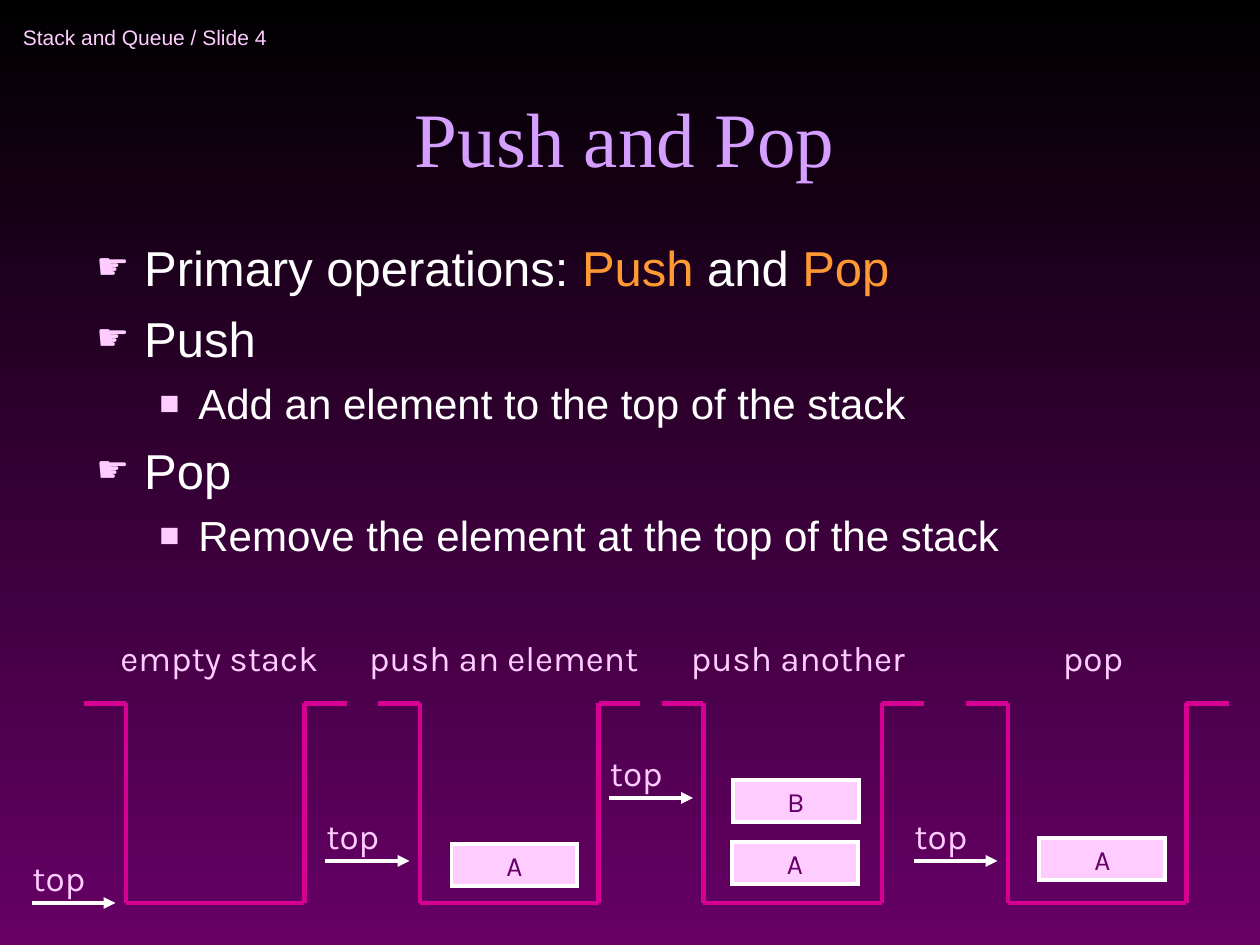
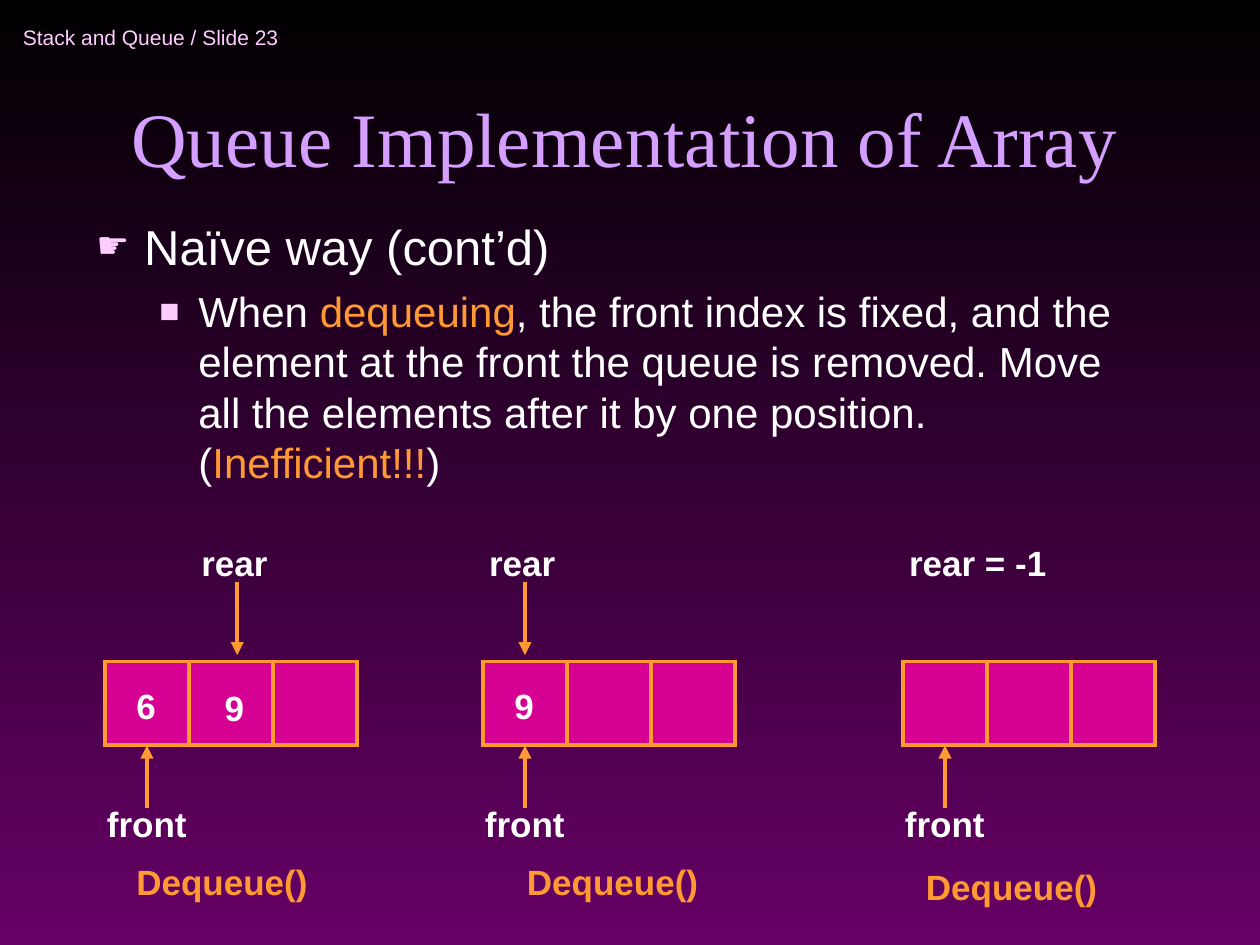
from lxml import etree
from pptx import Presentation
from pptx.dml.color import RGBColor
from pptx.enum.shapes import MSO_CONNECTOR, MSO_SHAPE
from pptx.enum.text import MSO_ANCHOR, PP_ALIGN
from pptx.oxml.ns import qn
from pptx.util import Inches, Pt

LEFT, CENTER = PP_ALIGN.LEFT, PP_ALIGN.CENTER
TOP, MIDDLE, BOTTOM = MSO_ANCHOR.TOP, MSO_ANCHOR.MIDDLE, MSO_ANCHOR.BOTTOM
RECT, STRAIGHT = MSO_SHAPE.RECTANGLE, MSO_CONNECTOR.STRAIGHT

COLORS = {
    "black": "000000", "purple": "660066", "lilac": "D49FFF", "pink": "FFCCFF",
    "magenta": "D60093", "orange": "FF9933", "white": "FFFFFF",
}
BODY, TITLE, DIAGRAM = "Arial", "Times New Roman", "Karla"
COLS, ROWS = 120, 90  # twelve grid units to the inch

# per outline level: size, space before, indent, hang, bullet, bullet size %
LEVELS = [
    (28, 7, 0.38, 0.38, "☛", 75),
    (24, 6, 0.81, 0.31, "■", 80),
]


def rgb(name):
    return RGBColor.from_string(COLORS[name])


class Deck:
    def __init__(self):
        self.prs = prs = Presentation()
        prs.slide_width, prs.slide_height = Inches(10), Inches(7.5)
        self.s = None
        fill = prs.slide_master.background.fill
        fill.gradient()
        fill.gradient_angle = 270
        for stop, color, position in zip(fill.gradient_stops, ("black", "purple"), (0, 1)):
            stop.color.rgb, stop.position = rgb(color), position

    def grid(self, *lengths):
        """Turn alternating columns and rows into slide lengths."""
        units = self.prs.slide_width / COLS, self.prs.slide_height / ROWS
        return [round(n * units[i % 2]) for i, n in enumerate(lengths)]

    def slide(self, number, title):
        self.s = self.prs.slides.add_slide(self.prs.slide_layouts[6])
        self.text(f"Stack and Queue / Slide {number}", 1, 1, 33, 5, 12, "pink", anchor=MIDDLE)
        self.text(title, 8, 3, 103, 15, 44, "lilac", TITLE, CENTER, BOTTOM)

    def style(self, r, size, color, font=BODY, bold=False):
        r.font.size, r.font.name, r.font.bold = Pt(size), font, bold
        r.font.color.rgb = rgb(color)

    def text(self, words, x, y, w, h, size, color, font=BODY, align=LEFT,
             anchor=TOP, bold=False, wrap=True):
        tf = self.s.shapes.add_textbox(*self.grid(x, y, w, h)).text_frame
        tf.word_wrap, tf.vertical_anchor = wrap, anchor
        p = tf.paragraphs[0]
        p.text, p.alignment = words, align
        self.style(p.runs[0], size, color, font, bold)

    def label(self, words, center, y, w):
        self.text(words, center - w / 2, y, w, 5.3, 20, "pink", DIAGRAM, CENTER, wrap=False)

    def note(self, words, x, y, w=13, color="white"):
        self.text(words, x, y, w, 5.3, 20, color, bold=True)

    def outline(self, y, h, items):
        """Bulleted text from (level, pieces); every second piece is highlighted."""
        tf = self.s.shapes.add_textbox(*self.grid(8, y, 103, h)).text_frame
        tf.word_wrap = True
        for i, (level, pieces) in enumerate(items):
            p = tf.add_paragraph() if i else tf.paragraphs[0]
            size, before, *bullet = LEVELS[level]
            p.level, p.space_before = level, Pt(before if i else 0)
            self.bullet(p, *bullet)
            for j, piece in enumerate(pieces):
                r = p.add_run()
                r.text = piece
                self.style(r, size, "orange" if j % 2 else "white")

    def bullet(self, p, indent, hang, char, percent):
        pPr = p._p.get_or_add_pPr()
        pPr.set("marL", str(Inches(indent)))
        pPr.set("indent", str(-Inches(hang)))
        clr = etree.SubElement(pPr, qn("a:buClr"))
        etree.SubElement(clr, qn("a:srgbClr"), val=COLORS["pink"])
        etree.SubElement(pPr, qn("a:buSzPct"), val=str(percent * 1000))
        etree.SubElement(pPr, qn("a:buFont"), typeface=BODY)
        etree.SubElement(pPr, qn("a:buChar"), char=char)

    def box(self, x, y, w, h, fill, line, words=""):
        sp = self.s.shapes.add_shape(RECT, *self.grid(x, y, w, h))
        sp.shadow.inherit = False
        sp.fill.solid()
        sp.fill.fore_color.rgb = rgb(fill)
        sp.line.color.rgb, sp.line.width = rgb(line), Pt(2.25)
        etree.SubElement(sp.line._get_or_add_ln(), qn("a:miter"), lim="800000")
        if words:
            tf = sp.text_frame
            tf.margin_top = tf.margin_bottom = 0
            tf.vertical_anchor = MIDDLE
            p = tf.paragraphs[0]
            p.text, p.alignment = words, CENTER
            self.style(p.runs[0], 16, "purple", DIAGRAM)

    def line(self, start, end, color, width=2.5, arrow=False):
        sp = self.s.shapes.add_connector(STRAIGHT, *self.grid(*start, *end))
        sp.line.color.rgb, sp.line.width = rgb(color), Pt(width)
        if arrow:
            etree.SubElement(sp.line._get_or_add_ln(), qn("a:tailEnd"), type="triangle")
        etree.SubElement(sp._element.spPr, qn("a:effectLst"))

    def stack(self, x, caption, center, top, elements):
        """A well with its left wall at x, its top pointer and its elements."""
        rim, floor, right, lip = 67, 86, x + 17, 4
        corners = [(x - lip, rim), (x, rim), (x, floor),
                   (right, floor), (right, rim), (right + lip, rim)]
        for start, end in zip(corners, corners[1:]):
            self.line(start, end, "magenta")
        self.label(caption, x + center, 60, 30)
        self.label("top", x - 6.4, top - 5, 8)
        self.line((x - 9, top), (x - 1, top), "white", 2.25, arrow=True)
        for name, dx, y in elements:
            self.box(x + dx, y, 12, 4, "pink", "white", name)

    def queue(self, x, values, rear, rear_x, pointer, call_x, call_y):
        """A three-cell array at x with its front and rear marks."""
        cell, y = 8, 63
        for i in range(3):
            self.box(x + i * cell, y, cell, cell, "magenta", "orange")
        for i, value in enumerate(values):
            self.note(value, x + 1.8 + 8.4 * i, 64.6 + 0.2 * i, 4)
        self.note("front", x - 1, 75.8)
        self.line((x + 4, 77), (x + 4, y + cell), "orange", arrow=True)
        self.note(rear, x + rear_x, 51, 18)
        if pointer:
            self.line((x + pointer, 55.4), (x + pointer, 62.4), "orange", arrow=True)
        self.note("Dequeue()", x + call_x, call_y, 23.2, "orange")


def push_and_pop(deck):
    deck.slide(4, "Push and Pop")
    deck.outline(22, 54, [
        (0, ["Primary operations: ", "Push", " and ", "Pop"]),
        (0, ["Push"]),
        (1, ["Add an element to the top of the stack"]),
        (0, ["Pop"]),
        (1, ["Remove the element at the top of the stack"]),
    ])
    deck.stack(12, "empty stack", 8.9, 86, [])
    deck.stack(40, "push an element", 8, 82, [("A", 3, 80.4)])
    deck.stack(67, "push another", 9, 76, [("A", 2.7, 80.2), ("B", 2.8, 74.3)])
    deck.stack(96, "pop", 8.1, 82, [("A", 3, 79.8)])


def queue_as_array(deck):
    deck.slide(23, "Queue Implementation of Array")
    deck.outline(20, 30, [
        (0, ["Naïve way (cont’d)"]),
        (1, ["When ", "dequeuing", ", the front index is fixed, and the element at the "
             "front the queue is removed. Move all the elements after it by one "
             "position. (", "Inefficient!!!", ")"]),
    ])
    deck.queue(10, "69", "rear", 8, 12.6, 1.8, 81.4)
    deck.queue(46, "9", "rear", -0.6, 4, 3, 81.4)
    deck.queue(86, "", "rear = -1", -0.6, None, 1, 81.8)


def main():
    deck = Deck()
    push_and_pop(deck)
    queue_as_array(deck)
    deck.prs.save("out.pptx")


if __name__ == "__main__":
    main()
